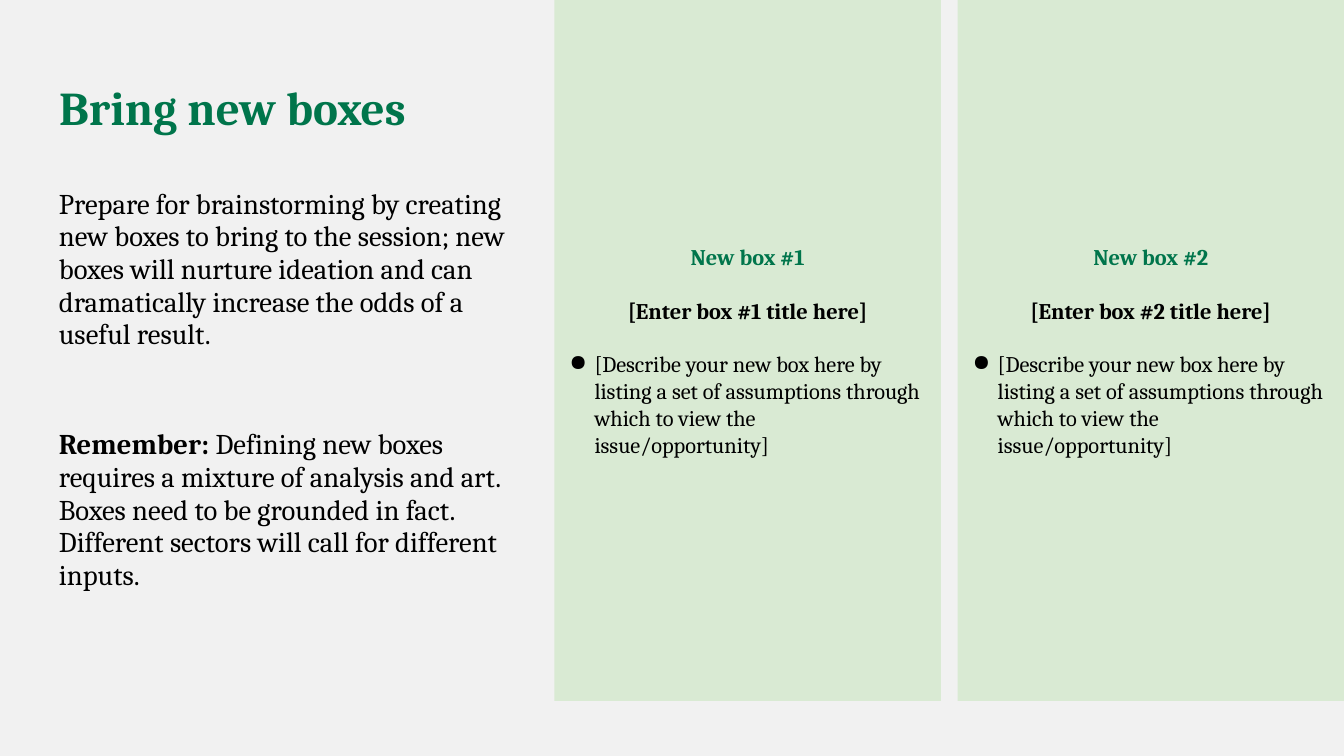
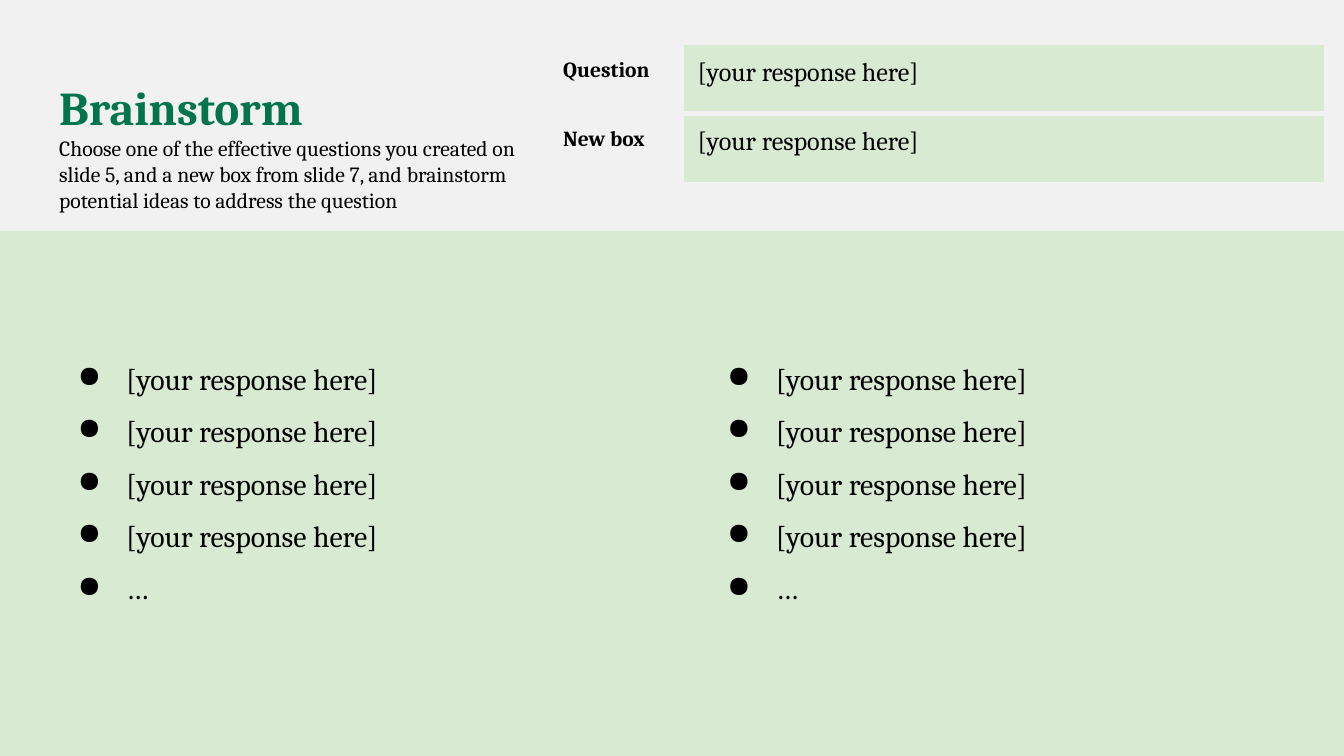
from lxml.etree import SubElement
from pptx import Presentation
from pptx.dml.color import RGBColor
from pptx.enum.shapes import MSO_SHAPE
from pptx.enum.text import MSO_ANCHOR, MSO_AUTO_SIZE, PP_ALIGN
from pptx.oxml.ns import qn
from pptx.util import Pt

COLORS = {"background": "F1F1F1", "panel": "D9EAD3", "green": "00754B", "black": "000000"}
FONT = "Cambria"
INSET = Pt(7.2)
MARGINS = ("margin_left", "margin_top", "margin_right", "margin_bottom")
TITLE_SIZE = 25.2
LEFT = 24.5
RESPONSE = "[your response here]"


def add_paragraph(frame, text, size, color="black", bold=False, align=PP_ALIGN.LEFT, before=0, spacing=1.0):
    """Write into the frame's empty first paragraph, or append a new one."""
    first = frame.paragraphs[0]
    paragraph = frame.add_paragraph() if first.runs else first
    paragraph.text = text
    paragraph.alignment = align
    paragraph.space_before = Pt(before)
    paragraph.line_spacing = spacing
    font = paragraph.font
    font.name, font.size, font.bold = FONT, Pt(size), bold
    font.color.rgb = RGBColor.from_string(COLORS[color])
    return paragraph


def add_bullet(paragraph, indent, hanging):
    properties = paragraph._p.get_or_add_pPr()
    properties.set("marL", str(Pt(indent)))
    properties.set("indent", str(-Pt(hanging)))
    color = SubElement(properties, qn("a:buClr"))
    SubElement(color, qn("a:srgbClr"), val=COLORS["black"])
    character = SubElement(properties, qn("a:buChar"), char="●")
    run_defaults = properties.find(qn("a:defRPr"))
    run_defaults.addprevious(color)
    run_defaults.addprevious(character)


presentation = Presentation()
presentation.slide_width, presentation.slide_height = Pt(720), Pt(405)

# Background, title and panels shared by both slides
pages = [
    ("Bring new boxes", 671, [(297, 0, 207, 375.5), (513, 0, 207, 375.5)]),
    ("Brainstorm", 273.5, [(0, 123.75, 720, 281.25)]),
]
panels = []
for title_text, title_width, panel_bounds in pages:
    slide = presentation.slides.add_slide(presentation.slide_layouts[5])
    slide.background.fill.solid()
    slide.background.fill.fore_color.rgb = RGBColor.from_string(COLORS["background"])
    title = slide.shapes.title
    title.left, title.top, title.width, title.height = Pt(LEFT), Pt(35), Pt(title_width), Pt(45)
    title.text_frame.vertical_anchor = MSO_ANCHOR.TOP
    title.text_frame.auto_size = MSO_AUTO_SIZE.NONE
    add_paragraph(title.text_frame, title_text, TITLE_SIZE, "green", True)
    for bounds in panel_bounds:
        panel = slide.shapes.add_shape(MSO_SHAPE.RECTANGLE, *map(Pt, bounds))
        panel.shadow.inherit = False
        panel.fill.solid()
        panel.fill.fore_color.rgb = RGBColor.from_string(COLORS["panel"])
        panel.line.fill.background()
        panel.text_frame.vertical_anchor = MSO_ANCHOR.MIDDLE
        panels.append(panel)
boxes_slide, brainstorm_slide = presentation.slides

# Slide 1: introduction and two new boxes
introduction = boxes_slide.shapes.add_textbox(Pt(LEFT), Pt(91), Pt(263.5), Pt(236)).text_frame
introduction.vertical_anchor = MSO_ANCHOR.MIDDLE
add_paragraph(
    introduction,
    "Prepare for brainstorming by creating new boxes to bring to the session; new boxes will "
    "nurture ideation and can dramatically increase the odds of a useful result.",
    15.3, spacing=0.95,
)
reminder = add_paragraph(introduction, "Remember:", 15.3, before=41.5, spacing=0.95)
reminder.space_after = Pt(12)
reminder.runs[0].font.bold = True
reminder.add_run().text = (
    " Defining new boxes requires a mixture of analysis and art. Boxes need to be grounded "
    "in fact. Different sectors will call for different inputs."
)

for number, panel in enumerate(panels[:2], start=1):
    frame = panel.text_frame
    add_paragraph(frame, f"New box #{number}", 12, "green", True, PP_ALIGN.CENTER)
    add_paragraph(frame, f"[Enter box #{number} title here]", 12, bold=True, align=PP_ALIGN.CENTER, before=14.4)
    description = add_paragraph(
        frame,
        "[Describe your new box here by listing a set of assumptions through which to view the issue/opportunity]",
        12, before=14.4,
    )
    add_bullet(description, 14.4, 13.5)

# Slide 2: instructions, ideas and the chosen question and box
add_paragraph(
    brainstorm_slide.shapes.title.text_frame,
    "Choose one of the effective questions you created on slide 5, and a new box from slide 7, "
    "and brainstorm potential ideas to address the question",
    11.6,
)

for left in (LEFT, 372.5):
    ideas = brainstorm_slide.shapes.add_textbox(Pt(left), Pt(155), Pt(317.5), Pt(205)).text_frame
    ideas.vertical_anchor = MSO_ANCHOR.MIDDLE
    for index, text in enumerate([RESPONSE] * 4 + ["…"]):
        idea = add_paragraph(ideas, text, 16, before=6 if index else 0, spacing=1.15)
        add_bullet(idea, 36, 26)
    idea.space_after = Pt(6)

table = brainstorm_slide.shapes.add_table(2, 2, Pt(294.5), Pt(24), Pt(414.75), Pt(73.5)).table
table.first_row = table.horz_banding = False
table._tbl.tblPr.find(qn("a:tableStyleId")).text = "{2D5ABB26-0587-4C30-8999-92F81FD0307C}"
table.columns[0].width, table.columns[1].width = Pt(72), Pt(342.75)
for row, (label, edge) in enumerate([("Question", "a:lnB"), ("New box", "a:lnT")]):
    label_cell, response_cell = table.cell(row, 0), table.cell(row, 1)
    for cell in (label_cell, response_cell):
        for margin in MARGINS:
            setattr(cell, margin, INSET)
    add_paragraph(label_cell.text_frame, label, 11.5, bold=True)
    add_paragraph(response_cell.text_frame, RESPONSE, 14)
    label_cell.fill.background()
    border = SubElement(response_cell._tc.get_or_add_tcPr(), qn(edge), w=str(Pt(3)))
    border_fill = SubElement(border, qn("a:solidFill"))
    SubElement(border_fill, qn("a:srgbClr"), val=COLORS["background"])
    response_cell.fill.solid()
    response_cell.fill.fore_color.rgb = RGBColor.from_string(COLORS["panel"])

for slide in presentation.slides:
    for shape in slide.shapes:
        if shape.has_text_frame:
            shape.text_frame.word_wrap = True
            for margin in MARGINS:
                setattr(shape.text_frame, margin, INSET)

presentation.save("out.pptx")
